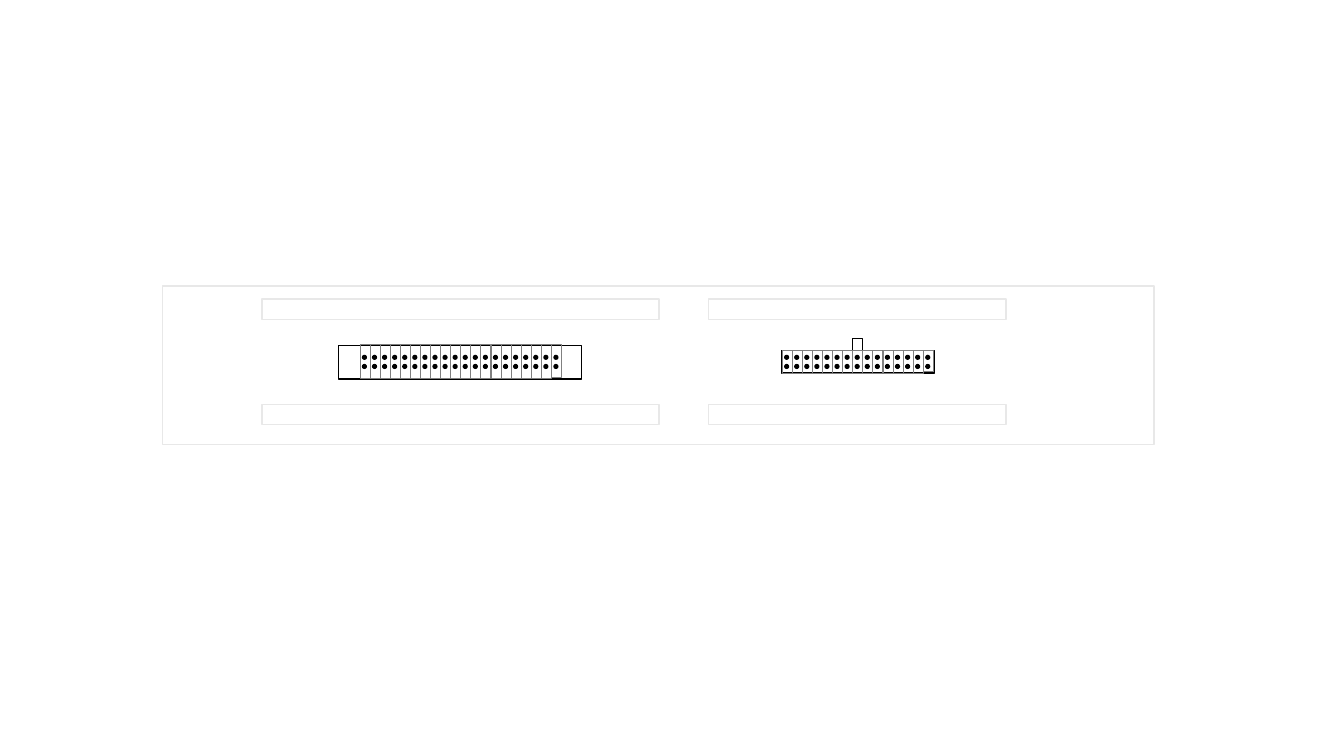
"""Build a slide with two pin connectors, each between empty label boxes."""
from dataclasses import dataclass

from pptx import Presentation
from pptx.dml.color import RGBColor
from pptx.enum.shapes import MSO_SHAPE
from pptx.util import Cm, Pt


@dataclass(frozen=True)
class Theme:
    ink: RGBColor = RGBColor(0x00, 0x00, 0x00)
    cell: RGBColor = RGBColor(0x80, 0x80, 0x80)
    frame: RGBColor = RGBColor(0xE8, 0xE8, 0xE8)
    outline: Pt = Pt(1)
    hairline: Pt = Pt(0.5)


@dataclass(frozen=True)
class Connector:
    body: tuple
    pin_count: int
    first_pin: float
    first_cell: float
    cell_top: float
    cell_height: float


def add_outline(shapes, left, top, width, height, color, weight):
    box = shapes.add_shape(MSO_SHAPE.RECTANGLE, Cm(left), Cm(top), Cm(width), Cm(height))
    box.shadow.inherit = False
    box.fill.background()
    box.line.color.rgb = color
    box.line.width = weight


def add_pin(shapes, left, top):
    pin = shapes.add_shape(MSO_SHAPE.OVAL, Cm(left), Cm(top), Cm(PIN_SIZE), Cm(PIN_SIZE))
    pin.shadow.inherit = False
    pin.fill.solid()
    pin.fill.fore_color.rgb = theme.ink
    pin.line.fill.background()


theme = Theme()
PITCH = 2.54 / 10
PIN_SIZE = 0.13
PIN_ROWS = (8.94, 9.17)
LAST_CELL_TRIM = 0.03
LABEL_HEIGHT = 0.51

connectors = (
    Connector((8.53, 8.71, 6.12, 0.84), 20, 9.12, 9.07, 8.69, 0.84),
    Connector((19.69, 8.84, 3.86, 0.56), 15, 19.76, 19.71, 8.84, 0.56),
)
key_tab = (21.49, 8.53, 0.25, 0.3)
label_columns = ((6.6, 10.01), (17.86, 7.49))
label_rows = (7.54, 10.19)

deck = Presentation()
deck.slide_width = Cm(33.87)
deck.slide_height = Cm(19.05)
page = deck.slides.add_slide(deck.slide_layouts[6])

add_outline(page.shapes, 4.09, 7.21, 24.99, 3.99, theme.frame, theme.outline)

for connector in connectors:
    add_outline(page.shapes, *connector.body, theme.ink, theme.outline)
    pins = page.shapes.add_group_shape()
    for top in PIN_ROWS:
        for column in range(connector.pin_count):
            add_pin(pins.shapes, connector.first_pin + column * PITCH, top)

add_outline(page.shapes, *key_tab, theme.ink, theme.outline)

for left, width in label_columns:
    for top in label_rows:
        add_outline(page.shapes, left, top, width, LABEL_HEIGHT, theme.frame, theme.outline)

for connector in connectors:
    for column in range(connector.pin_count):
        is_last = column == connector.pin_count - 1
        height = connector.cell_height - (LAST_CELL_TRIM if is_last else 0)
        left = connector.first_cell + column * PITCH
        add_outline(page.shapes, left, connector.cell_top, PITCH, height, theme.cell, theme.hairline)

deck.save("out.pptx")
